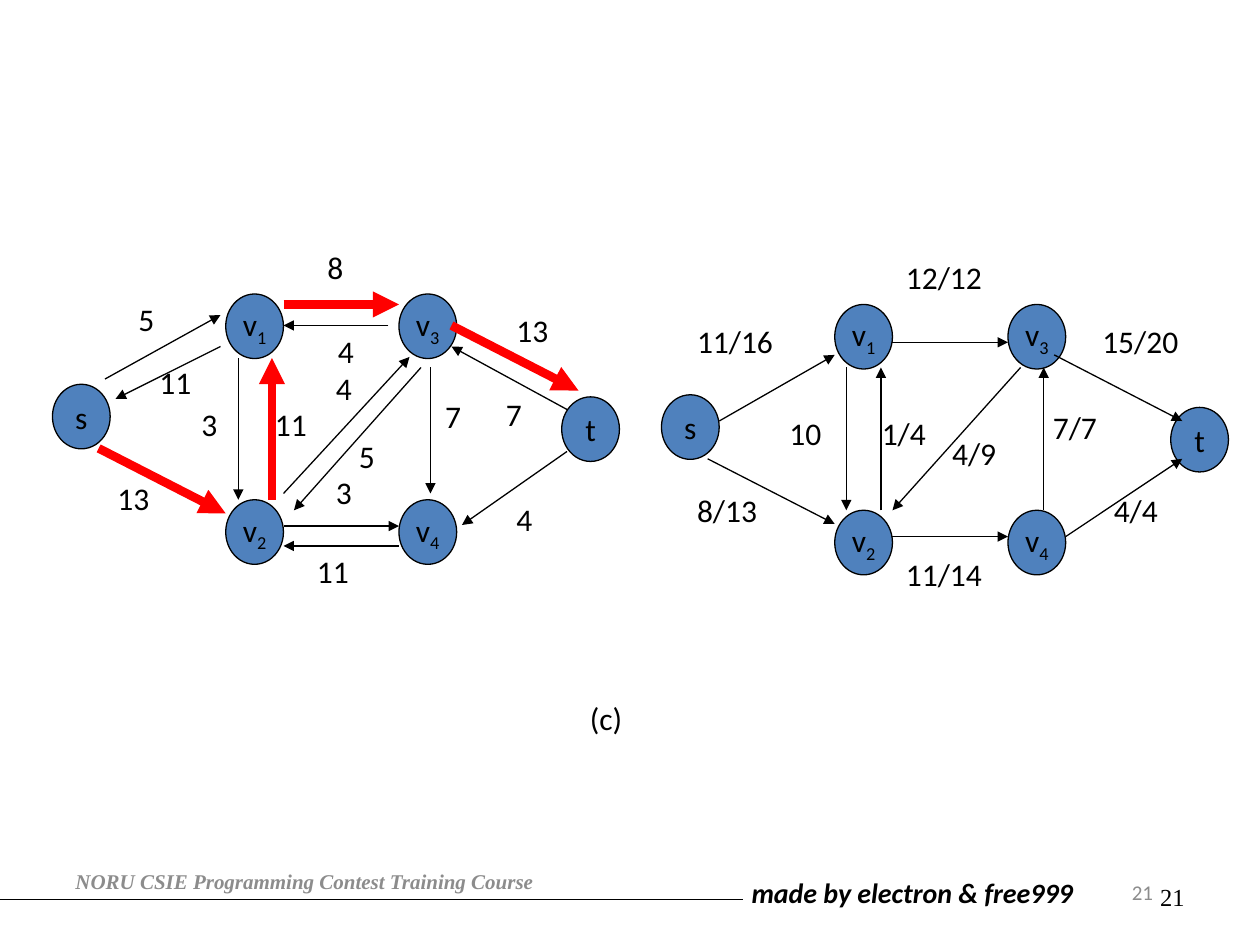
"""Draw a residual network beside its flow network on a grid of twelfths of an inch."""
from typing import NamedTuple

import pptx
import pptx.dml.color
import pptx.enum.shapes
import pptx.enum.text
import pptx.oxml.ns
import pptx.util
from lxml import etree

COLUMNS, ROWS = 120, 90
SLIDE_WIDTH, SLIDE_HEIGHT = pptx.util.Inches(10), pptx.util.Inches(7.5)
BLACK, RED, BLUE, GRAY = "000000", "FF0000", "4F81BD", "8C8C8C"
NODE_WIDTH, NODE_HEIGHT = 5.5, 6.15
LABEL_HEIGHT = 6
ALIGN = pptx.enum.text.PP_ALIGN
ANCHOR = pptx.enum.text.MSO_ANCHOR


class Node(NamedTuple):
    name: str
    subscript: str
    column: float
    row: float


class Edge(NamedTuple):
    start: tuple[float, float]
    end: tuple[float, float]
    augmenting: bool = False


class Label(NamedTuple):
    text: str
    column: float
    row: float


class Network(NamedTuple):
    column: float
    row: float
    edges: list[Edge]
    labels: list[Label]


class Footer(NamedTuple):
    text: str
    box: tuple[float, float, float, float]
    style: dict


NODES = [
    Node("s", "", 5, 36.6),
    Node("v", "2", 21.5, 47.6),
    Node("v", "4", 38, 47.6),
    Node("t", "", 53.5, 37.8),
    Node("v", "3", 38, 28),
    Node("v", "1", 21.5, 28),
]

RESIDUAL = Network(
    0, 0,
    [
        Edge((10, 36.1), (21, 30)),
        Edge((27, 29), (38, 29), True),
        Edge((43, 31), (55.1, 37.2), True),
        Edge((9.4, 42.7), (21.5, 48.9), True),
        Edge((27, 50.1), (38, 50.1)),
        Edge((22.7, 34.1), (22.7, 47.6)),
        Edge((25.9, 47.6), (25.9, 34.1), True),
        Edge((40.1, 35), (28, 48.6)),
        Edge((21, 33), (11, 38)),
        Edge((37, 31), (27, 31)),
        Edge((27, 47), (39, 34)),
        Edge((38, 52), (27, 52)),
        Edge((41, 35), (41, 47)),
        Edge((54, 43), (44, 50)),
        Edge((54, 39), (43, 33)),
    ],
    [
        Label("5", 33, 41), Label("5", 12, 28), Label("13", 10, 45),
        Label("8", 30, 23), Label("3", 18, 38), Label("11", 25, 38),
        Label("4", 48, 47), Label("7", 41.2, 37.2), Label("11", 29, 52),
        Label("11", 14, 34), Label("4", 31, 31), Label("4", 30.8, 34.6),
        Label("3", 30.8, 44.5), Label("13", 48, 29), Label("7", 47, 37),
    ],
)

FLOW = Network(
    58, 1,
    [
        Edge((10.5, 39.1), (21.5, 32.8)),
        Edge((27, 31.6), (38, 31.6)),
        Edge((42.4, 32.8), (54.6, 39.1)),
        Edge((9.4, 42.7), (21.5, 48.9)),
        Edge((27, 50.1), (38, 50.1)),
        Edge((43.5, 50.1), (54.6, 42.7)),
        Edge((22.6, 34), (22.6, 47.6)),
        Edge((25.9, 47.6), (25.9, 34)),
        Edge((41.4, 47.6), (41.4, 34)),
        Edge((39.2, 34), (27, 47.6)),
    ],
    [
        Label("4/9", 31.5, 39.7), Label("11/16", 7.2, 29.1),
        Label("8/13", 7.2, 45.2), Label("12/12", 27.1, 23),
        Label("10", 16, 37.8), Label("1/4", 24.8, 37.8),
        Label("15/20", 45.8, 29.1), Label("4/4", 46.9, 45.2),
        Label("7/7", 41.1, 37.3), Label("11/14", 27.1, 51.3),
    ],
)

FOOTERS = [
    Footer("made by electron & free999", (70.4, 82.8, 35.5, 4.4),
           dict(size=16, bold=True, italic=True)),
    Footer("21", (86, 83.4, 28, 4.8),
           dict(size=14, font="Times New Roman", align=ALIGN.RIGHT)),
    Footer("NORU CSIE Programming Contest Training Course", (6, 81.5, 46.4, 4.8),
           dict(size=12, font="Times New Roman", color=GRAY, bold=True,
                italic=True, anchor=ANCHOR.MIDDLE)),
    Footer("21", (86, 82, 25, 6),
           dict(size=12, color=GRAY, align=ALIGN.RIGHT, anchor=ANCHOR.MIDDLE)),
]


def across(columns: float) -> int:
    """Return the length of a number of grid columns."""
    return round(SLIDE_WIDTH * columns / COLUMNS)


def down(rows: float) -> int:
    """Return the length of a number of grid rows."""
    return round(SLIDE_HEIGHT * rows / ROWS)


def paint(target, color: str) -> None:
    """Give a fill format a solid colour."""
    target.solid()
    target.fore_color.rgb = pptx.dml.color.RGBColor.from_string(color)


def write(shape, text: str, *, subscript="", size=18, font="Calibri", color=BLACK,
          bold=False, italic=False, align=ALIGN.LEFT, anchor=ANCHOR.TOP, wrap=True) -> None:
    """Write formatted text, with an optional subscript, into a shape."""
    frame = shape.text_frame
    frame.word_wrap = wrap
    frame.vertical_anchor = anchor
    paragraph = frame.paragraphs[0]
    paragraph.alignment = align
    for content in filter(None, (text, subscript)):
        run = paragraph.add_run()
        run.text = content
        run.font.name, run.font.size = font, pptx.util.Pt(size)
        run.font.bold, run.font.italic = bold, italic
        paint(run.font.fill, color)
    if subscript:
        run.font._element.set("baseline", "-25000")


def add_text(slide, text: str, box: tuple[float, float, float, float], **style) -> None:
    """Add a text box placed on the grid."""
    left, top, width, height = box
    shape = slide.shapes.add_textbox(across(left), down(top), across(width), down(height))
    write(shape, text, **style)


def add_label(slide, label: Label, column: float = 0, row: float = 0) -> None:
    """Add a label whose width follows the length of its text."""
    width = 3 + 1.75 * len(label.text)
    add_text(slide, label.text, (label.column + column, label.row + row, width, LABEL_HEIGHT))


def add_line(slide, start, end, *, color=BLACK, width=0.75, arrow=True) -> None:
    """Add a straight line, with an arrowhead at its end if wanted."""
    connector = slide.shapes.add_connector(
        pptx.enum.shapes.MSO_CONNECTOR.STRAIGHT,
        across(start[0]), down(start[1]), across(end[0]), down(end[1]))
    paint(connector.line.fill, color)
    connector.line.width = pptx.util.Pt(width)
    properties = connector._element.spPr
    if arrow:
        outline = properties.find(pptx.oxml.ns.qn("a:ln"))
        etree.SubElement(outline, pptx.oxml.ns.qn("a:tailEnd"), type="triangle")
    etree.SubElement(properties, pptx.oxml.ns.qn("a:effectLst"))


def add_node(slide, node: Node, column: float, row: float) -> None:
    """Add a named vertex."""
    shape = slide.shapes.add_shape(
        pptx.enum.shapes.MSO_SHAPE.OVAL, across(node.column + column),
        down(node.row + row), across(NODE_WIDTH), down(NODE_HEIGHT))
    shape.shadow.inherit = False
    paint(shape.fill, BLUE)
    paint(shape.line.fill, BLACK)
    shape.line.width = pptx.util.Pt(0.75)
    write(shape, node.name, subscript=node.subscript, align=ALIGN.CENTER,
          anchor=ANCHOR.MIDDLE, wrap=False)


def add_network(slide, network: Network) -> None:
    """Add the vertices, edges and labels of a network."""
    column, row = network.column, network.row
    for node in NODES:
        add_node(slide, node, column, row)
    for edge in network.edges:
        start, end = ((x + column, y + row) for x, y in (edge.start, edge.end))
        style = dict(color=RED, width=5) if edge.augmenting else {}
        add_line(slide, start, end, **style)
    for label in network.labels:
        add_label(slide, label, column, row)


def main() -> None:
    """Build and save the slide."""
    presentation = pptx.Presentation()
    presentation.slide_width, presentation.slide_height = SLIDE_WIDTH, SLIDE_HEIGHT
    slide = presentation.slides.add_slide(presentation.slide_layouts[6])
    add_line(slide, (0, 85.7), (70.8, 85.7), width=0.5, arrow=False)
    for footer in FOOTERS:
        add_text(slide, footer.text, footer.box, **footer.style)
    for network in (RESIDUAL, FLOW):
        add_network(slide, network)
    add_label(slide, Label("(c)", 55, 66))
    presentation.save("out.pptx")


if __name__ == "__main__":
    main()
